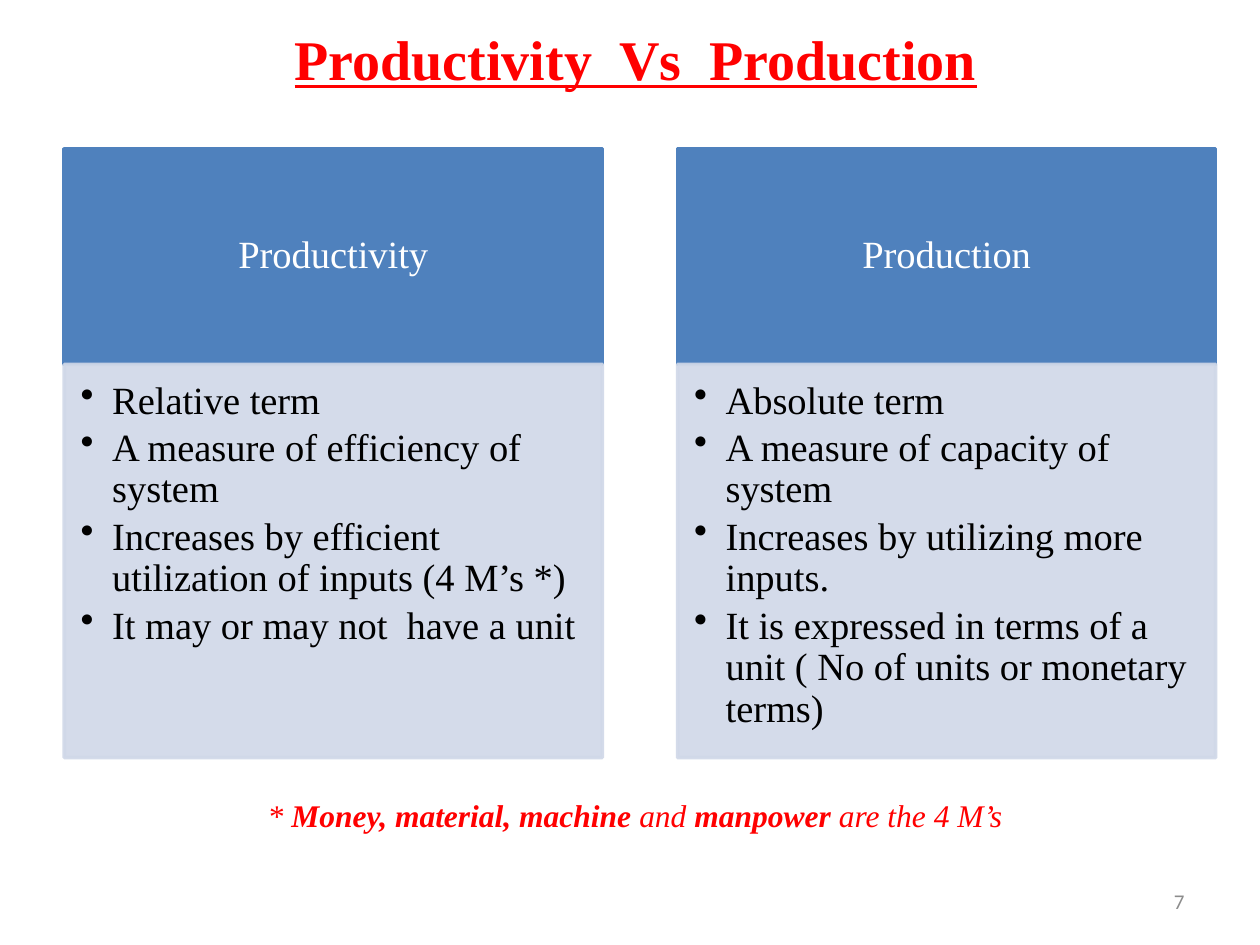
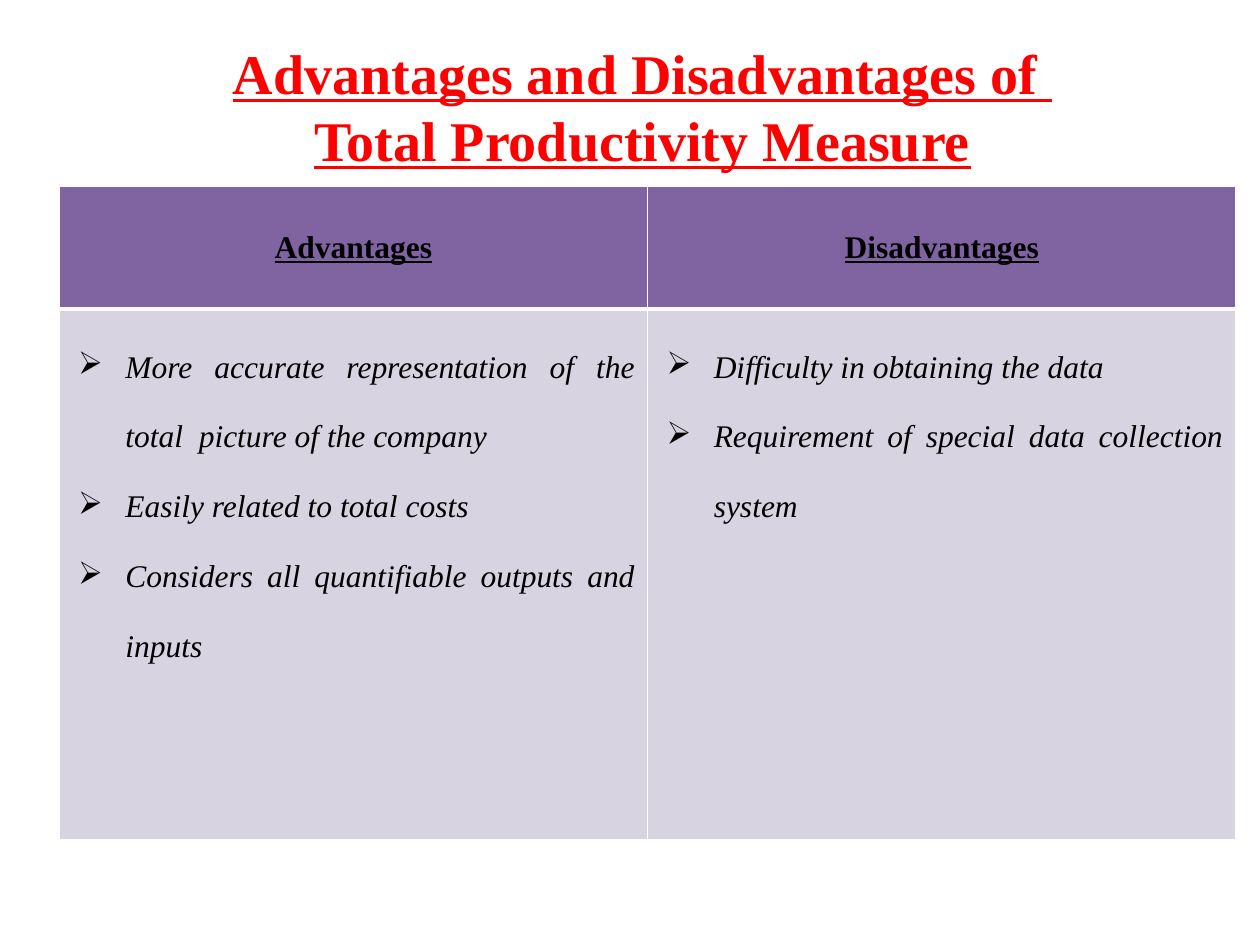
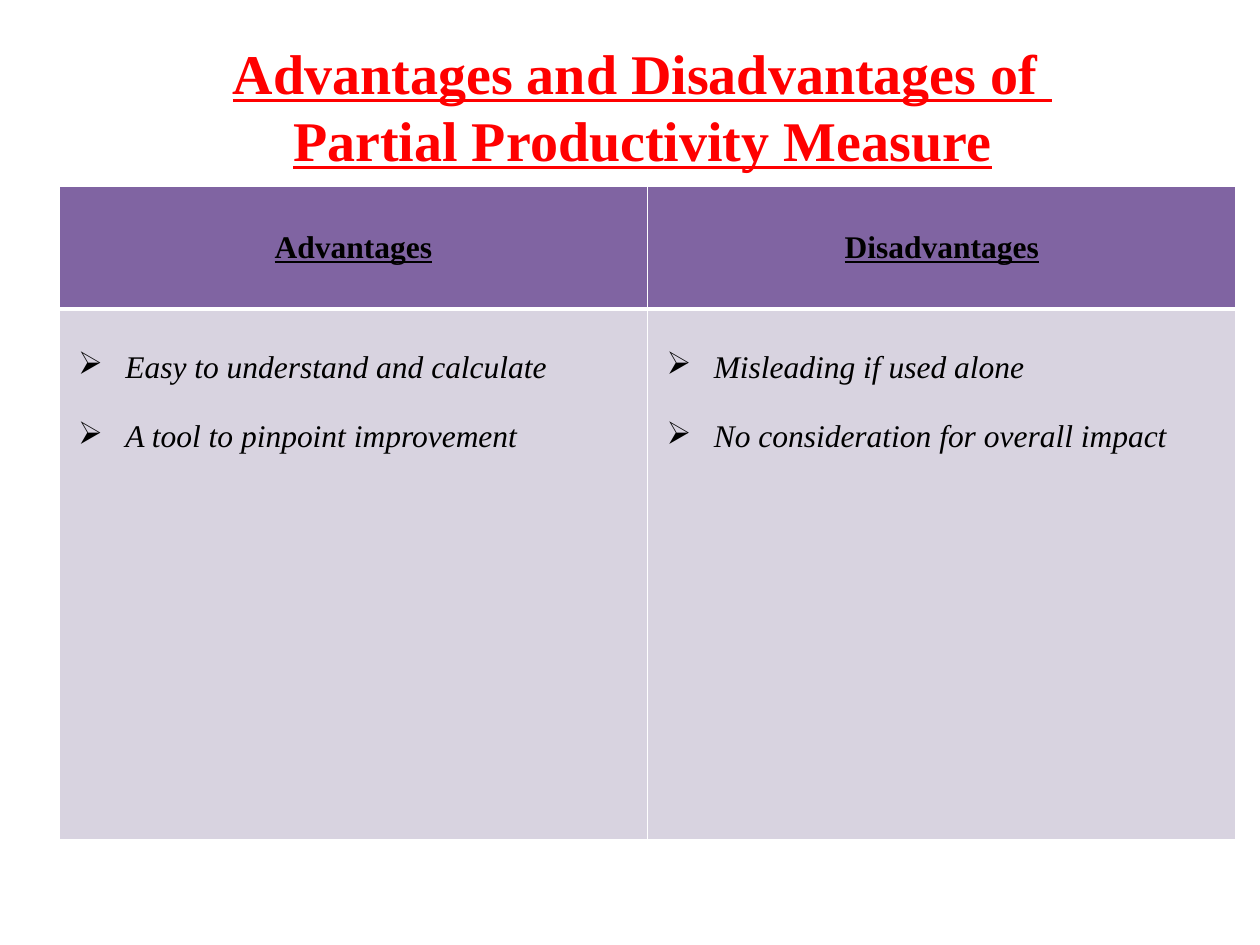
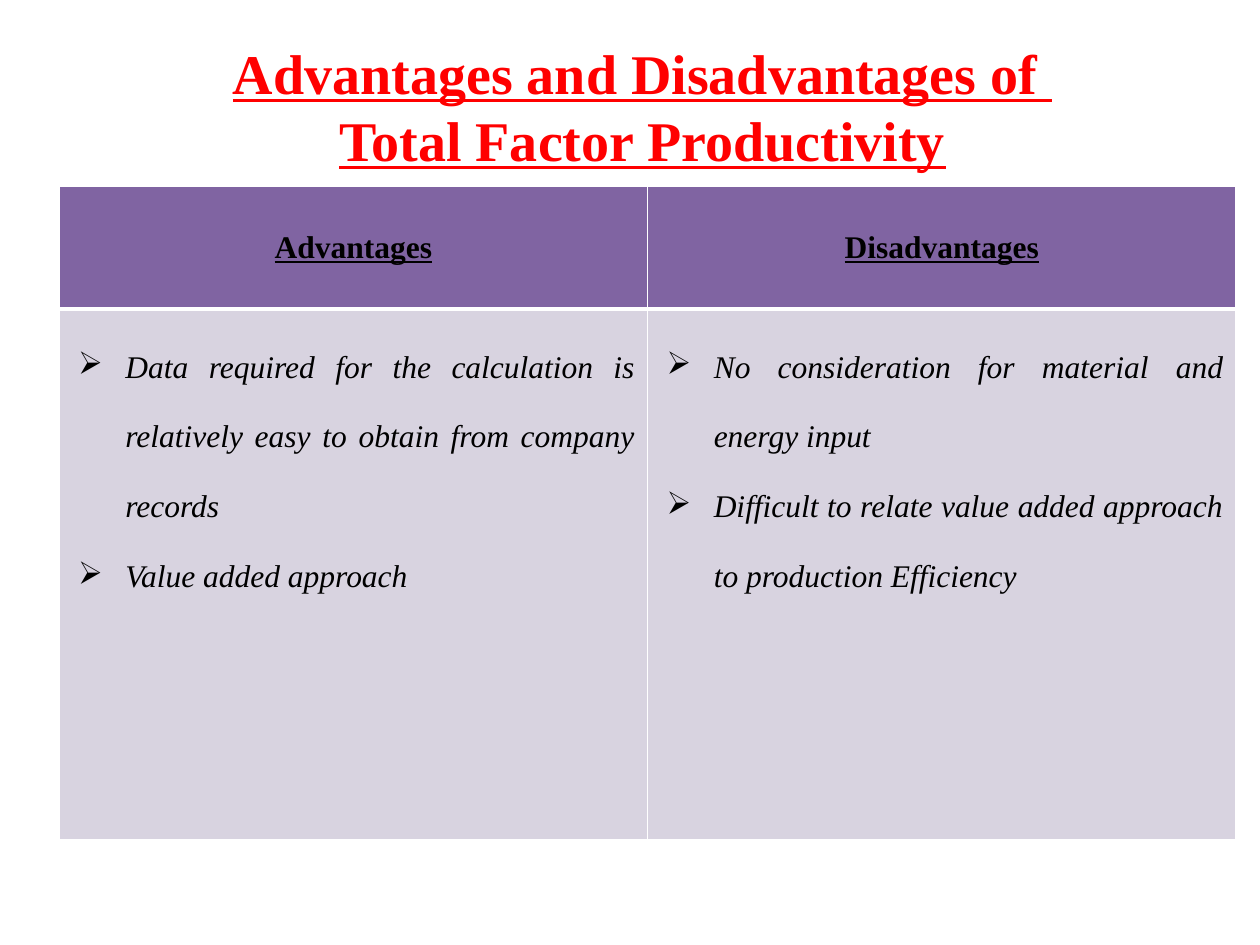
from dataclasses import dataclass
from typing import NamedTuple

from lxml.etree import SubElement
from pptx import Presentation
from pptx.dml.color import RGBColor
from pptx.enum.shapes import MSO_SHAPE
from pptx.enum.text import MSO_ANCHOR, MSO_AUTO_SIZE, PP_ALIGN
from pptx.oxml import parse_xml
from pptx.oxml.ns import nsdecls, qn
from pptx.util import Pt


@dataclass(frozen=True)
class Theme:
    # Colours
    red: str = "FF0000"
    black: str = "000000"
    white: str = "FFFFFF"
    grey: str = "8C8C8C"
    blue: str = "4F81BD"
    pale_blue: str = "D0D8E8"
    purple: str = "8064A2"
    pale_purple: str = "D8D3E0"
    # Fonts and type sizes
    serif: str = "Times New Roman"
    sans: str = "Calibri"
    title_size: float = 32
    panel_size: float = 22
    table_size: float = 18
    number_size: float = 12


class Box(NamedTuple):
    left: float
    top: float
    width: float
    height: float

    def points(self):
        return [Pt(length) for length in self]


THEME = Theme()
DEFAULT_INSETS = (7.2, 3.6, 7.2, 3.6)
COMPARISON_TITLE = Box(42.5, 0, 641.5, 66)
MEASURE_TITLE = Box(33.84, 20.88, 666.72, 79.2)
MEASURE_TABLE = Box(33.84, 106.56, 672.48, 373.2)
HEADER_ROW_HEIGHT = 70
PANEL_AREA = Box(36.75, 85, 658, 348)
PANEL_WIDTH = 307.5
PANEL_HEADER_HEIGHT = 123.2
FOOTNOTE = Box(93.6, 451.5, 538.56, 29)
PAGE_NUMBER = Box(516.24, 500.4, 167.76, 28.8)


def write(frame, paragraphs, *, size, color, font=THEME.serif, bold=False,
          italic=False, underline=False, align=PP_ALIGN.LEFT,
          anchor=MSO_ANCHOR.TOP, insets=DEFAULT_INSETS, line_spacing=None,
          space_after=None, bullet=None, indent=0, hanging=0):
    """Each paragraph is a string or a list of (text, bold) spans."""
    frame.word_wrap = True
    frame.vertical_anchor = anchor
    (frame.margin_left, frame.margin_top,
     frame.margin_right, frame.margin_bottom) = [Pt(inset) for inset in insets]
    for index, content in enumerate(paragraphs):
        para = frame.add_paragraph() if index else frame.paragraphs[0]
        para.alignment = align
        if line_spacing:
            para.line_spacing = line_spacing
        if space_after:
            para.space_after = Pt(space_after)
        if bullet:
            add_bullet(para, bullet, indent, hanging)
        spans = [(content, bold)] if isinstance(content, str) else content
        for text, span_bold in spans:
            for line_index, line in enumerate(text.split("\n")):
                if line_index:
                    para.add_line_break()
                span = para.add_run()
                span.text = line
                span.font.name = font
                span.font.size = Pt(size)
                span.font.bold = span_bold
                span.font.italic = italic
                span.font.underline = underline
                span.font.color.rgb = RGBColor.from_string(color)


def add_bullet(para, character, indent, hanging):
    properties = para._p.get_or_add_pPr()
    properties.set("marL", str(Pt(indent)))
    properties.set("indent", str(-Pt(hanging)))
    SubElement(properties, qn("a:buChar")).set("char", character)


def add_text(page, box, paragraphs, **style):
    text_box = page.shapes.add_textbox(*box.points())
    write(text_box.text_frame, paragraphs, **style)
    return text_box


def add_title(page, box, title):
    add_text(page, box, [title], size=THEME.title_size, color=THEME.red,
             bold=True, underline=True, align=PP_ALIGN.CENTER,
             anchor=MSO_ANCHOR.MIDDLE)


def add_block(page, box, color, opacity=100):
    block = page.shapes.add_shape(MSO_SHAPE.RECTANGLE, *box.points())
    block.shadow.inherit = False
    block.fill.solid()
    block.fill.fore_color.rgb = RGBColor.from_string(color)
    block.line.color.rgb = RGBColor.from_string(color)
    block.line.width = Pt(2)
    if opacity < 100:
        for paint in block._element.spPr.iter(qn("a:srgbClr")):
            SubElement(paint, qn("a:alpha")).set("val", str(opacity * 1000))
    return block


def add_panel(page, box, heading, points):
    # Heading block
    header_box = box._replace(height=PANEL_HEADER_HEIGHT)
    header = add_block(page, header_box, THEME.blue)
    write(header.text_frame, [heading], size=THEME.panel_size,
          color=THEME.white, align=PP_ALIGN.CENTER, anchor=MSO_ANCHOR.MIDDLE,
          insets=(12, 7.2, 12, 7.2), line_spacing=0.9)

    # Bulleted block below it
    body_box = box._replace(top=box.top + PANEL_HEADER_HEIGHT,
                            height=box.height - PANEL_HEADER_HEIGHT)
    body = add_block(page, body_box, THEME.pale_blue, opacity=90)
    write(body.text_frame, points, size=THEME.panel_size, color=THEME.black,
          insets=(9.4, 9.4, 12.5, 14), line_spacing=0.9, space_after=3.3,
          bullet="•", indent=18, hanging=18)


def build_comparison_page(page, title, panels, footnote, number):
    add_title(page, COMPARISON_TITLE, title)
    add_text(page, PAGE_NUMBER, [number], size=THEME.number_size,
             color=THEME.grey, font=THEME.sans, align=PP_ALIGN.RIGHT,
             anchor=MSO_ANCHOR.MIDDLE)

    # Panels, the first and last flush with the area's sides
    step = (PANEL_AREA.width - PANEL_WIDTH) / (len(panels) - 1)
    for index, (heading, points) in enumerate(panels):
        panel_box = PANEL_AREA._replace(left=PANEL_AREA.left + index * step,
                                        width=PANEL_WIDTH)
        add_panel(page, panel_box, heading, points)

    note = add_text(page, FOOTNOTE, [footnote], size=THEME.table_size,
                    color=THEME.red, italic=True, align=PP_ALIGN.CENTER)
    note.text_frame.auto_size = MSO_AUTO_SIZE.SHAPE_TO_FIT_TEXT


def style_cell(cell, fill, top, bottom):
    cell.fill.solid()
    cell.fill.fore_color.rgb = RGBColor.from_string(fill)
    borders = {"lnL": 1, "lnR": 1, "lnT": top, "lnB": bottom}
    for index, (side, width) in enumerate(borders.items()):
        cell._tc.tcPr.insert(index, parse_xml(
            f'<a:{side} {nsdecls("a")} w="{Pt(width)}"><a:solidFill>'
            f'<a:srgbClr val="{THEME.white}"/></a:solidFill></a:{side}>'))


def write_cell(cell, paragraphs, **style):
    write(cell.text_frame, paragraphs, size=THEME.table_size,
          color=THEME.black, **style)
    cell.vertical_anchor = style.get("anchor", MSO_ANCHOR.TOP)


def add_measure_table(page, box, columns):
    table = page.shapes.add_table(2, len(columns), *box.points()).table
    table.horz_banding = False
    table.rows[0].height = Pt(HEADER_ROW_HEIGHT)
    table.rows[1].height = Pt(box.height - HEADER_ROW_HEIGHT)
    for index, (heading, points) in enumerate(columns.items()):
        table.columns[index].width = Pt(box.width / len(columns))
        header, body = table.cell(0, index), table.cell(1, index)
        style_cell(header, THEME.purple, top=1, bottom=3)
        write_cell(header, [heading], bold=True, underline=True,
                   align=PP_ALIGN.CENTER, anchor=MSO_ANCHOR.MIDDLE)
        style_cell(body, THEME.pale_purple, top=3, bottom=1)
        write_cell(body, points, italic=True, align=PP_ALIGN.JUSTIFY,
                   line_spacing=2.0, bullet="➢", indent=30.6, hanging=27)


def build_measure_page(page, measure, advantages, disadvantages):
    add_title(page, MEASURE_TITLE,
              f"Advantages and Disadvantages of \n{measure}")
    add_measure_table(page, MEASURE_TABLE, {"Advantages": advantages,
                                            "Disadvantages": disadvantages})


PANELS = [
    ("Productivity", ["Relative term",
                      "A measure of efficiency of system",
                      "Increases by efficient utilization of inputs (4 M’s *)",
                      "It may or may not  have a unit"]),
    ("Production", ["Absolute term",
                    "A measure of capacity of system",
                    "Increases by utilizing more inputs.",
                    "It is expressed in terms of a unit "
                    "( No of units or monetary terms)"]),
]
FOUR_MS = [("* ", False), ("Money, material, machine ", True),
           ("and ", False), ("manpower ", True), ("are the 4 M’s", False)]
MEASURES = [
    ("Total Productivity Measure",
     ["More accurate representation of the total  picture of the company",
      "Easily related to total costs",
      "Considers all quantifiable outputs and inputs"],
     ["Difficulty in obtaining the data",
      "Requirement of special data collection system"]),
    ("Partial Productivity Measure",
     ["Easy to understand and calculate",
      "A tool to pinpoint improvement"],
     ["Misleading if used alone",
      "No consideration for overall impact"]),
    ("Total Factor Productivity",
     ["Data required for the calculation is relatively easy to obtain "
      "from company records",
      "Value added approach"],
     ["No consideration for material and energy input",
      "Difficult to relate value added approach to production Efficiency"]),
]


def main():
    deck = Presentation()
    deck.slide_width, deck.slide_height = Pt(720), Pt(540)
    blank = deck.slide_layouts[6]
    build_comparison_page(deck.slides.add_slide(blank),
                          "Productivity  Vs  Production", PANELS, FOUR_MS, "7")
    for measure, advantages, disadvantages in MEASURES:
        build_measure_page(deck.slides.add_slide(blank),
                           measure, advantages, disadvantages)
    deck.save("out.pptx")


if __name__ == "__main__":
    main()
